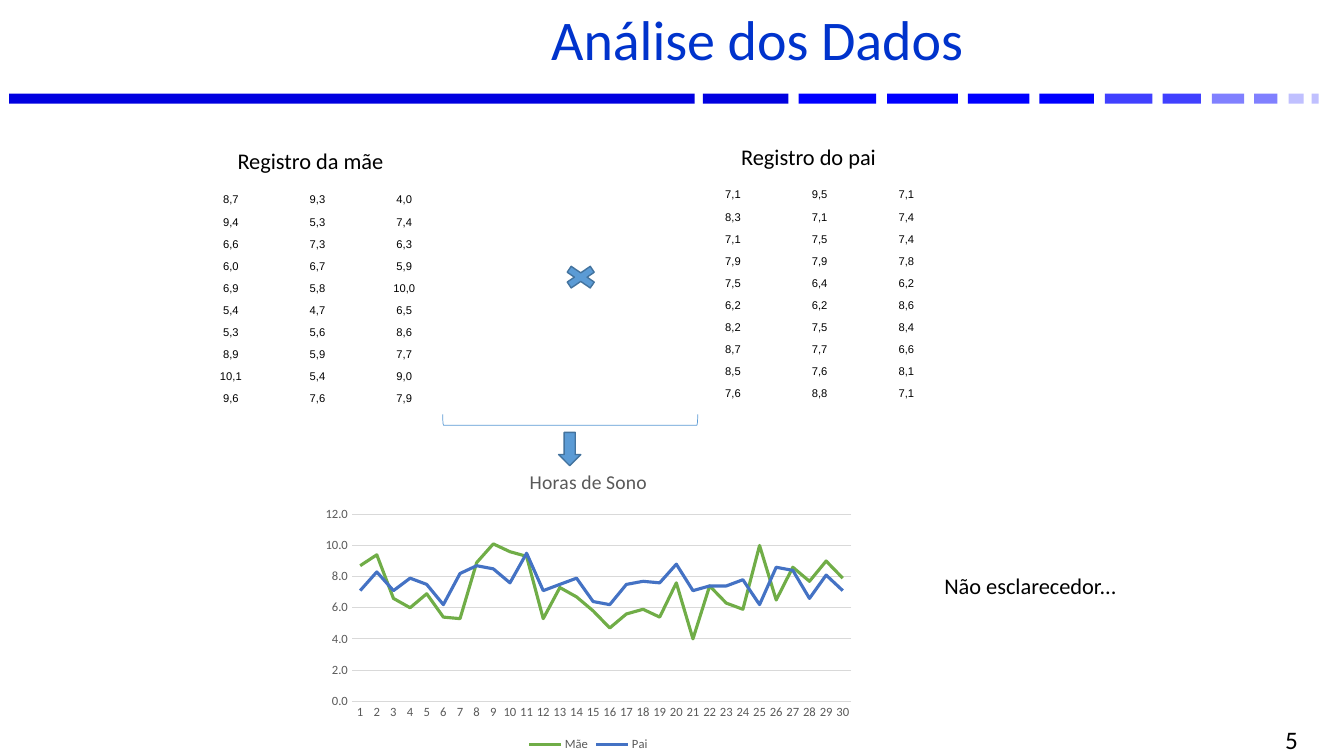
from pptx import Presentation
from pptx.chart.data import CategoryChartData
from pptx.dml.color import RGBColor
from pptx.enum import chart as chart_enum, shapes, text
from pptx.util import Inches, Pt

BLACK = RGBColor(0x00, 0x00, 0x00)
TITLE_BLUE = RGBColor(0x00, 0x33, 0xCC)
SHAPE_BLUE = RGBColor(0x5B, 0x9B, 0xD5)
OUTLINE_BLUE = RGBColor(0x43, 0x73, 0x9E)
GREY = RGBColor(0x59, 0x59, 0x59)
GRID_GREY = RGBColor(0xD9, 0xD9, 0xD9)
MOTHER_GREEN = RGBColor(0x70, 0xAD, 0x47)
FATHER_BLUE = RGBColor(0x44, 0x72, 0xC4)
BAR_DARK = RGBColor(0x00, 0x00, 0xE0)
BAR_BLUE = RGBColor(0x00, 0x00, 0xFF)
BAR_MEDIUM = RGBColor(0x40, 0x40, 0xFF)
BAR_LIGHT = RGBColor(0x80, 0x80, 0xFF)
BAR_PALE = RGBColor(0xC0, 0xC0, 0xFF)

BARS = [
    (0.09, 6.8, BAR_DARK), (6.97, 0.85, BAR_DARK),
    (7.92, 0.77, BAR_BLUE), (8.8, 0.7, BAR_BLUE),
    (9.6, 0.61, BAR_BLUE), (10.31, 0.54, BAR_BLUE),
    (10.96, 0.47, BAR_MEDIUM), (11.53, 0.38, BAR_MEDIUM),
    (12.02, 0.32, BAR_LIGHT), (12.44, 0.23, BAR_LIGHT),
    (12.78, 0.15, BAR_PALE), (13.01, 0.07, BAR_PALE),
]
MOTHER_HOURS = [
    8.7, 9.4, 6.6, 6.0, 6.9, 5.4, 5.3, 8.9, 10.1, 9.6,
    9.3, 5.3, 7.3, 6.7, 5.8, 4.7, 5.6, 5.9, 5.4, 7.6,
    4.0, 7.4, 6.3, 5.9, 10.0, 6.5, 8.6, 7.7, 9.0, 7.9,
]
FATHER_HOURS = [
    7.1, 8.3, 7.1, 7.9, 7.5, 6.2, 8.2, 8.7, 8.5, 7.6,
    9.5, 7.1, 7.5, 7.9, 6.4, 6.2, 7.5, 7.7, 7.6, 8.8,
    7.1, 7.4, 7.4, 7.8, 6.2, 8.6, 8.4, 6.6, 8.1, 7.1,
]
ROWS, COLUMNS = 10, 3


class SlideBuilder:
    def __init__(self, slide, font="Calibri", table_font="Arial"):
        self.slide = slide
        self.font = font
        self.table_font = table_font

    def style_font(self, font, size, color, name=None):
        font.name = name or self.font
        font.size = Pt(size)
        font.color.rgb = color
        font.bold = False

    def add_text(self, content, left, top, width, height, size=16, color=BLACK,
                 align=text.PP_ALIGN.CENTER, anchor=text.MSO_ANCHOR.TOP):
        box = self.slide.shapes.add_textbox(
            Inches(left), Inches(top), Inches(width), Inches(height))
        frame = box.text_frame
        frame.word_wrap = True
        frame.vertical_anchor = anchor
        frame.text = content
        paragraph = frame.paragraphs[0]
        paragraph.alignment = align
        self.style_font(paragraph.runs[0].font, size, color)
        return paragraph

    def add_shape(self, kind, left, top, width, height, fill=None, line=None, weight=1):
        shape = self.slide.shapes.add_shape(
            kind, Inches(left), Inches(top), Inches(width), Inches(height))
        shape.shadow.inherit = False
        if fill is None:
            shape.fill.background()
        else:
            shape.fill.solid()
            shape.fill.fore_color.rgb = fill
        if line is None:
            shape.line.fill.background()
        else:
            shape.line.color.rgb = line
            shape.line.width = Pt(weight)
        return shape

    def add_hours_table(self, hours, left, top):
        table = self.slide.shapes.add_table(
            ROWS, COLUMNS, Inches(left), Inches(top), Inches(2.58), Inches(2.19)).table
        table.first_row = False
        table.horz_banding = False
        for row in table.rows:
            row.height = Inches(2.19 / ROWS)
        for index, value in enumerate(hours):
            column, row = divmod(index, ROWS)
            cell = table.cell(row, column)
            cell.fill.background()
            cell.vertical_anchor = text.MSO_ANCHOR.MIDDLE
            cell.margin_left = cell.margin_right = cell.margin_top = Inches(0.01)
            cell.margin_bottom = 0
            cell.text_frame.text = f"{value:.1f}".replace(".", ",")
            paragraph = cell.text_frame.paragraphs[0]
            paragraph.alignment = text.PP_ALIGN.CENTER
            self.style_font(paragraph.runs[0].font, 8, BLACK, self.table_font)

    def add_line_chart(self, title, series_list, left, top, width, height):
        data = CategoryChartData(number_format="0.0")
        data.categories = [str(day) for day in range(1, ROWS * COLUMNS + 1)]
        for name, hours, _ in series_list:
            data.add_series(name, hours)
        chart = self.slide.shapes.add_chart(
            chart_enum.XL_CHART_TYPE.LINE, Inches(left), Inches(top),
            Inches(width), Inches(height), data).chart
        self.style_font(chart.font, 10, BLACK)

        chart.has_title = True
        chart.chart_title.text_frame.text = title
        title_run = chart.chart_title.text_frame.paragraphs[0].runs[0]
        self.style_font(title_run.font, 14, GREY)
        chart.chart_title.include_in_layout = False

        chart.has_legend = True
        chart.legend.position = chart_enum.XL_LEGEND_POSITION.BOTTOM
        chart.legend.include_in_layout = False
        self.style_font(chart.legend.font, 9, GREY)

        for axis in (chart.category_axis, chart.value_axis):
            axis.major_tick_mark = chart_enum.XL_TICK_MARK.NONE
            axis.minor_tick_mark = chart_enum.XL_TICK_MARK.NONE
            self.style_font(axis.tick_labels.font, 9, GREY)
        value_axis = chart.value_axis
        value_axis.minimum_scale = 0
        value_axis.maximum_scale = 12
        value_axis.major_unit = 2
        value_axis.tick_labels.number_format = "0.0"
        value_axis.tick_labels.number_format_is_linked = False
        value_axis.format.line.fill.background()
        for line in (chart.category_axis.format.line, value_axis.major_gridlines.format.line):
            line.color.rgb = GRID_GREY
            line.width = Pt(0.75)

        plot = chart.plots[0]
        plot.vary_by_categories = False
        for series, (_, _, color) in zip(plot.series, series_list):
            series.smooth = False
            series.marker.style = chart_enum.XL_MARKER_STYLE.NONE
            series.format.line.color.rgb = color
            series.format.line.width = Pt(2.25)


def main():
    presentation = Presentation()
    presentation.slide_width = Inches(13.33)
    presentation.slide_height = Inches(7.5)
    slide = presentation.slides.add_slide(presentation.slide_layouts[6])
    builder = SlideBuilder(slide)
    kinds = shapes.MSO_SHAPE

    for left, width, color in BARS:
        builder.add_shape(kinds.RECTANGLE, left, 0.93, width, 0.1, color)

    title = builder.add_text("Análise dos Dados", 1.94, 0.06, 11.14, 0.77, 40,
                             TITLE_BLUE, anchor=text.MSO_ANCHOR.MIDDLE)
    title.line_spacing = 0.8
    builder.add_text("5", 9.86, 7.23, 3.11, 0.22, 18, align=text.PP_ALIGN.RIGHT,
                     anchor=text.MSO_ANCHOR.MIDDLE)

    builder.add_text("Registro da mãe", 1.86, 1.41, 2.44, 0.37)
    builder.add_text("Registro do pai", 6.8, 1.37, 2.44, 0.37)
    builder.add_shape(kinds.MATH_MULTIPLY, 5.54, 2.6, 0.44, 0.3, SHAPE_BLUE, OUTLINE_BLUE)
    builder.add_hours_table(MOTHER_HOURS, 1.86, 1.87)
    builder.add_hours_table(FATHER_HOURS, 6.84, 1.82)

    builder.add_line_chart(
        "Horas de Sono",
        [("Mãe", MOTHER_HOURS, MOTHER_GREEN), ("Pai", FATHER_HOURS, FATHER_BLUE)],
        3.12, 4.5, 5.43, 3)
    builder.add_shape(kinds.DOWN_ARROW, 5.54, 4.29, 0.22, 0.33, SHAPE_BLUE, OUTLINE_BLUE)
    bracket = builder.add_shape(kinds.RIGHT_BRACKET, 5.6, 2.9, 0.11, 2.53,
                                line=SHAPE_BLUE, weight=0.5)
    bracket.rotation = 90
    builder.add_text("Não esclarecedor...", 9, 5.63, 2.44, 0.37)

    presentation.save("out.pptx")


if __name__ == "__main__":
    main()
